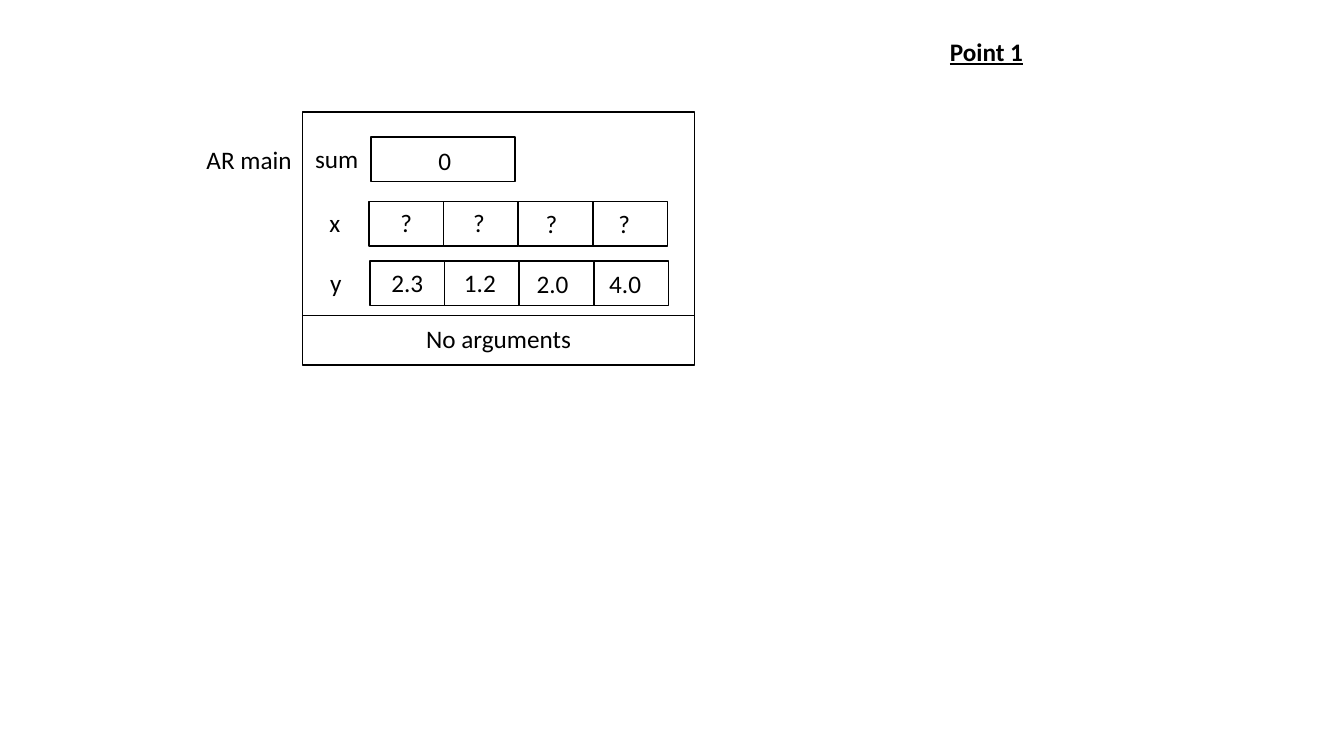
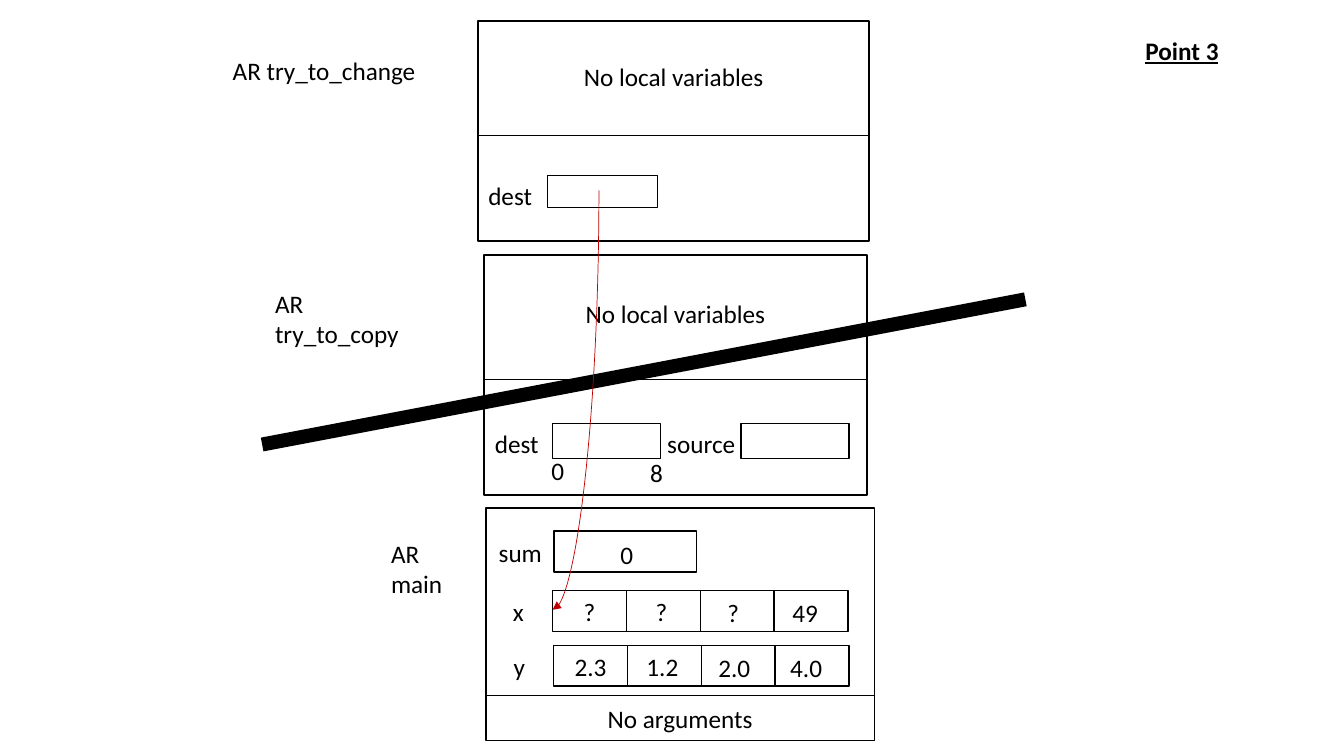
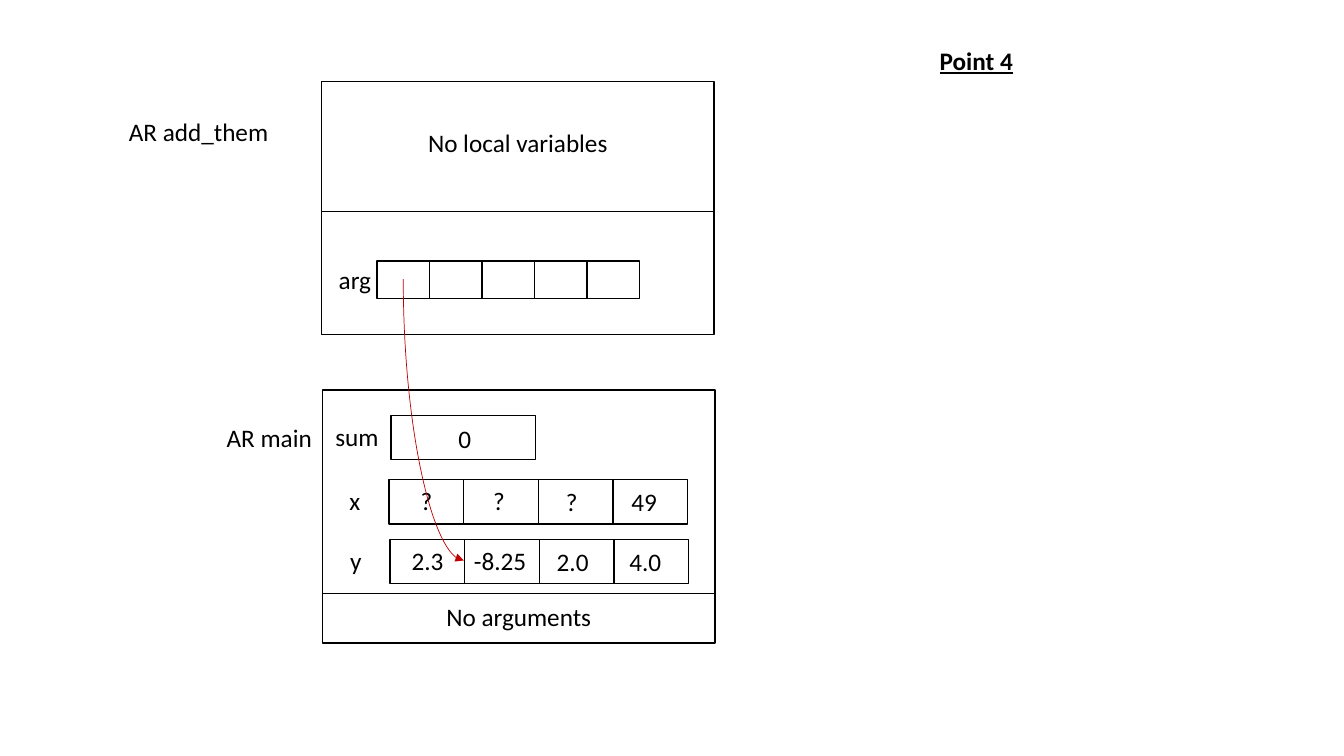
import pptx
import pptx.dml.color
import pptx.enum.shapes
import pptx.enum.text
import pptx.oxml.ns
import pptx.util

Inches = pptx.util.Inches
Pt = pptx.util.Pt
qn = pptx.oxml.ns.qn
Align = pptx.enum.text.PP_ALIGN
Link = pptx.enum.shapes.MSO_CONNECTOR

BLACK = pptx.dml.color.RGBColor(0x00, 0x00, 0x00)
RED = pptx.dml.color.RGBColor(0xC0, 0x00, 0x00)
FONT = "Calibri"
SIZE = Pt(18)


class Deck:
    def __init__(self):
        self.prs = pptx.Presentation()
        self.prs.slide_width = Inches(13.33)
        self.prs.slide_height = Inches(7.5)
        self.slide = None

    def page(self, title, x, y):
        self.slide = self.prs.slides.add_slide(self.prs.slide_layouts[5])
        head = self.slide.shapes.title
        head.left, head.top = Inches(x), Inches(y)
        head.width, head.height = Inches(1.1), Inches(0.4)
        font = self.letter(head, title, Align.LEFT)
        font.bold = font.underline = True

    def letter(self, shape, text, align):
        """Fill a shape with one styled line and return its font."""
        frame = shape.text_frame
        frame.text = text
        frame.word_wrap = True
        frame.auto_size = pptx.enum.text.MSO_AUTO_SIZE.NONE
        frame.vertical_anchor = pptx.enum.text.MSO_ANCHOR.TOP
        line = frame.paragraphs[0]
        line.alignment = align
        font = line.runs[0].font
        font.name, font.size = FONT, SIZE
        font.color.rgb = BLACK
        return font

    def text(self, text, x, y, w, align=Align.CENTER):
        box = self.slide.shapes.add_textbox(
            Inches(x), Inches(y), Inches(w), Inches(0.4))
        self.letter(box, text, align)

    def label(self, text, x, y, w):
        self.text(text, x, y, w, Align.LEFT)

    def box(self, x, y, w, h):
        shape = self.slide.shapes.add_shape(
            pptx.enum.shapes.MSO_SHAPE.RECTANGLE,
            Inches(x), Inches(y), Inches(w), Inches(h))
        shape.shadow.inherit = False
        shape.fill.background()
        shape.line.color.rgb = BLACK
        shape.line.width = Pt(1)

    def cells(self, count, x, y, w, h):
        for i in range(count):
            self.box(x + i * w, y, w, h)

    def line(self, start, end, width=0.5, color=BLACK, kind=Link.STRAIGHT):
        line = self.slide.shapes.add_connector(
            kind, *[Inches(v) for v in (*start, *end)])
        line.line.color.rgb = color
        line.line.width = Pt(width)
        props = line._element.spPr
        props.append(props.makeelement(qn("a:effectLst"), {}))
        return line

    def curve(self, start, end):
        """Draw a pointer that leaves downwards and arrives sideways."""
        (x1, y1), (x2, y2) = start, end
        mid_x, mid_y = (x1 + x2) / 2, (y1 + y2) / 2
        side = 1 if x2 > x1 else -1
        reach, rise = side * (y2 - y1) / 2, abs(x2 - x1) / 2
        line = self.line((mid_x + reach, mid_y - rise),
                         (mid_x - reach, mid_y + rise),
                         color=RED, kind=Link.CURVE)
        props = line._element.spPr
        turn = 270 if side > 0 else 90
        props.find(qn("a:xfrm")).set("rot", str(turn * 60000))
        props.find(qn("a:prstGeom")).set("prst", "curvedConnector2")
        stroke = props.find(qn("a:ln"))
        stroke.append(stroke.makeelement(qn("a:tailEnd"), {"type": "triangle"}))

    def record(self, x, y, w, h, split):
        """Draw a frame with locals above the split and arguments below."""
        self.box(x, y, w, h)
        self.line((x, y + split), (x + w, y + split))

    def call(self, x, y, w, h, split, drop):
        """Draw the record of a function without local variables."""
        self.record(x, y, w, h, split)
        self.text("No local variables", x, y + drop, w)

    def row(self, name, values, x, y, sx, sy):
        """Draw a named array; x is the left edge of its first cell."""
        wide = 0.74 * sx
        self.text(name, x - 0.68, y + 0.01, 0.68)
        self.cells(len(values), x, y, wide, 0.44 * sy)
        for i, value in enumerate(values):
            self.text(value, x + 0.72 * sx * i, y + 0.01 + i // 2 * 0.01, wide)

    def main(self, x, y, xs, ys, sx=1, sy=1, room=1.1):
        """Draw the record of main, scaled by sx and sy."""
        wide = 3.89 * sx
        self.record(x, y, wide, 2.51 * sy, 2.02 * sy)
        self.text("No arguments", x, y + 2.05 * sy, wide)
        self.label("AR main", x - 1.05 * sx, y + 0.27 * sy, room)
        self.text("sum", x, y + 0.26 * sy, 0.68)
        self.box(x + 0.68 * sx, y + 0.25 * sy, 1.43 * sx, 0.44 * sy)
        self.text("0", x + 0.7 * sx, y + 0.28 * sy, 1.42 * sx)
        self.row("x", xs, x + 0.66, y + 0.89 * sy, sx, sy)
        self.row("y", ys, x + 0.67, y + 1.48 * sy, sx, sy)


def build():
    deck = Deck()
    blank = ["?"] * 4
    last = ["?", "?", "?", "49"]
    first = ["2.3", "1.2", "2.0", "4.0"]

    deck.page("Point 1", 9.32, 0.31)
    deck.main(3, 1.11, blank, first)

    deck.page("Point 3", 11.26, 0.3)
    deck.main(4.82, 5.04, last, first, 0.99, 0.92, 0.9)
    deck.call(4.74, 0.21, 3.88, 2.18, 1.13, 0.35)
    deck.label("AR try_to_change", 2.21, 0.5, 2.2)
    deck.text("dest", 4.72, 1.74, 0.68)
    deck.box(5.43, 1.74, 1.09, 0.32)
    deck.call(4.8, 2.53, 3.8, 2.38, 1.23, 0.38)
    deck.label("AR try_to_copy", 2.63, 2.81, 1.5)
    for name, x, w, left in (("dest", 4.79, 0.67, 5.48),
                             ("source", 6.5, 0.91, 7.35)):
        deck.text(name, x, 4.2, w)
        deck.box(left, 4.2, 1.07, 0.35)
    deck.line((2.6, 4.41), (10.17, 2.97), 10)
    deck.curve((5.94, 1.89), (5.48, 6.05))
    deck.label("0", 5.37, 4.47, 0.4)
    deck.label("8", 6.35, 4.49, 0.4)

    deck.page("Point 4", 9.22, 0.4)
    deck.main(3.2, 3.87, last, ["2.3", "-8.25", "2.0", "4.0"])
    deck.call(3.19, 0.81, 3.89, 2.51, 1.29, 0.4)
    deck.label("AR add_them", 1.18, 1.11, 1.8)
    deck.text("arg", 3.18, 2.57, 0.68)
    deck.cells(5, 3.74, 2.59, 0.52, 0.37)
    deck.curve((4, 2.77), (4.6, 5.56))

    deck.prs.save("out.pptx")


if __name__ == "__main__":
    build()
